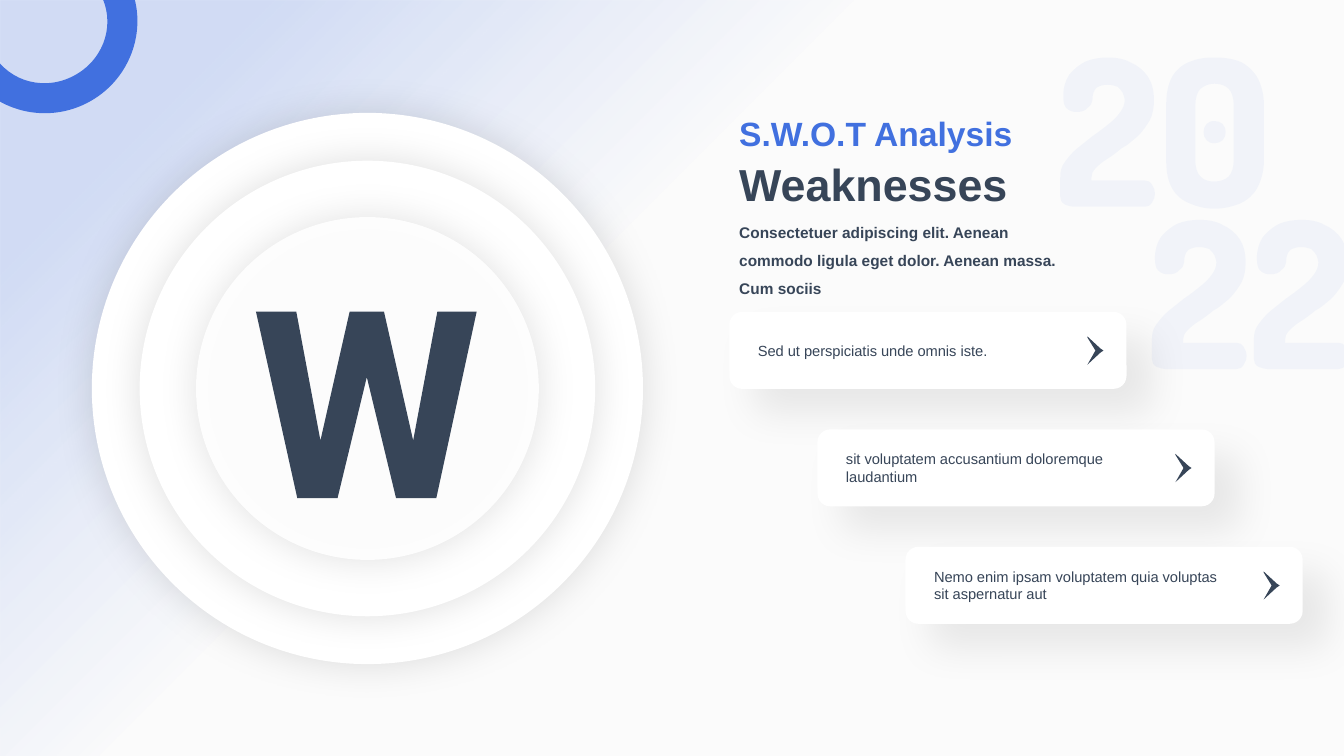
from lxml.etree import SubElement
from pptx import Presentation
from pptx.dml.color import RGBColor
from pptx.enum.shapes import MSO_SHAPE as SHAPE
from pptx.enum.text import MSO_ANCHOR as ANCHOR, MSO_AUTO_SIZE as AUTO
from pptx.oxml.ns import qn
from pptx.util import Cm, Pt

# Content: all lengths in cm
COLORS = {"page": "FBFBFB", "blue": "4170DF", "dark": "374558",
          "white": "FFFFFF", "shadow": "000000"}
W, H = 33.87, 19.05
LEFT = 18.38
HEADINGS = [  # text, box, anchor, line spacing, font, color
    ("Consectetuer adipiscing elit. Aenean commodo ligula eget dolor. "
     "Aenean massa. Cum sociis", (LEFT, 5.27, 9.04, 1.6), ANCHOR.TOP, 1.5,
     {"size": Pt(11), "bold": True}, "dark"),
    ("S.W.O.T Analysis", (LEFT, 2.31, 9.04, 1.68), ANCHOR.BOTTOM, 1.5,
     {"size": Pt(24), "bold": True}, "blue"),
    ("Weaknesses", (LEFT, 3.83, 9.19, 1.63), ANCHOR.TOP, 1,
     {"size": Pt(32), "bold": True}, "dark"),
]
CARDS = [  # text, text width, text height
    ("Sed ut perspiciatis unde omnis iste.", 7.85, 0.74),
    ("sit voluptatem accusantium doloremque laudantium", 8.33, 1.19),
    ("Nemo enim ipsam voluptatem quia voluptas sit aspernatur aut", 8.1, 1.19),
]
CARD_TOP, CARD_W, CARD_H = 7.86, 10.01, 1.94
STEP_X, STEP_Y = 2.22, 2.96
RING_X, RING_Y = 9.26, 9.79
RINGS = [(13.89, 100), (11.48, 100), (8.64, 91)]  # diameter, opacity
RING_SHADOW = (13, 28, 0, 57)  # opacity, blur, distance, angle
CARD_SHADOW = (7, 28, 25, 45)

# Outlines in units of 0.0254 cm: pairs are lines, sextuples are curves
LETTER_W = [(0, 0), (40, 0), (64, 128), (93, 0), (106, 0), (114, 0), (127, 0),
            (156, 128), (180, 0), (219, 0), (179, 185), (162, 185), (153, 185),
            (139, 185), (110, 65), (81, 185), (66, 185), (58, 185), (41, 185)]
CHEVRON = [(12, 3), (0, 16), (1, 16), (14, 8), (28, 16), (16, 3), (14, 0)]
ARC = [(91, 59), (57, 59, 30, 33, 30, 0), (0, 0), (0, 49, 41, 89, 91, 89),
       (141, 89, 182, 49, 182, 0), (152, 0), (152, 33, 125, 59, 91, 59)]
TWO = [
    (47, 0), (55, 0, 63, 1, 70, 5), (77, 8, 83, 13, 87, 19),
    (91, 25, 93, 33, 93, 42), (93, 49, 92, 56, 89, 62), (86, 67, 82, 73, 77, 78),
    (72, 82, 67, 87, 61, 90), (56, 94, 51, 98, 46, 101),
    (41, 104, 38, 107, 35, 110), (32, 113, 31, 116, 31, 119), (31, 122), (84, 122),
    (87, 122, 89, 123, 91, 126), (93, 129, 94, 132, 94, 135),
    (94, 138, 93, 141, 91, 144), (89, 147, 87, 148, 84, 148), (13, 148),
    (11, 148, 8, 147, 5, 146), (1, 144, 0, 141, 0, 138), (0, 119),
    (0, 113, 1, 108, 5, 103), (8, 99, 12, 94, 17, 90), (22, 86, 27, 82, 32, 78),
    (38, 74, 43, 70, 48, 66), (53, 62, 56, 59, 59, 55), (62, 51, 64, 47, 64, 42),
    (64, 40, 63, 38, 62, 35), (61, 33, 59, 31, 57, 29), (54, 28, 51, 27, 47, 27),
    (43, 27, 39, 28, 36, 30), (33, 33, 32, 37, 32, 42), (32, 45, 30, 48, 27, 50),
    (25, 53, 21, 54, 16, 54), (12, 54, 9, 53, 6, 50), (4, 48, 3, 44, 3, 38),
    (3, 30, 5, 23, 9, 17), (13, 12, 19, 7, 25, 4), (32, 1, 40, 0, 47, 0),
]
ZERO_OUTER = [
    (48, 0), (57, 0, 65, 1, 73, 4), (80, 7, 86, 13, 90, 19),
    (94, 26, 97, 36, 97, 47), (97, 102), (97, 113, 94, 123, 90, 130),
    (86, 137, 80, 142, 73, 145), (65, 148, 57, 150, 48, 150),
    (39, 150, 31, 148, 24, 145), (16, 142, 10, 137, 6, 130),
    (2, 123, 0, 114, 0, 102), (0, 47), (0, 36, 2, 26, 6, 19),
    (10, 12, 16, 7, 24, 4), (31, 1, 39, 0, 48, 0),
]
ZERO_INNER = [
    (48, 26), (42, 26, 38, 28, 34, 31), (31, 34, 29, 40, 29, 47), (29, 102),
    (29, 110, 31, 115, 34, 118), (38, 122, 42, 123, 48, 123),
    (54, 123, 59, 121, 62, 118), (65, 115, 67, 109, 67, 102), (67, 47),
    (67, 40, 65, 34, 62, 31), (59, 28, 54, 26, 48, 26),
]
DOT = [(11, 0), (14, 0, 17, 1, 19, 3), (21, 5, 22, 8, 22, 11),
       (22, 14, 21, 17, 19, 19), (17, 21, 14, 22, 11, 22),
       (7, 22, 5, 21, 3, 19), (1, 17, 0, 14, 0, 11),
       (0, 8, 1, 5, 3, 3), (5, 1, 7, 0, 11, 0)]
DIGITS = [(26.72, 1.45, [TWO]), (29.39, 1.45, [ZERO_OUTER, ZERO_INNER]),
          (30.33, 3.05, [DOT]), (29.03, 5.54, [TWO]), (31.6, 5.54, [TWO])]

prs = Presentation()
prs.slide_width, prs.slide_height = Cm(W), Cm(H)
s = prs.slides.add_slide(prs.slide_layouts[6])


def rgb(name):
    return RGBColor.from_string(COLORS[name])


def set_alpha(color, percent):
    SubElement(color, qn("a:alpha"), val=str(percent * 1000))


def paint(sp, color, opacity=100, shadow=None):
    sp.fill.solid()
    sp.fill.fore_color.rgb = rgb(color)
    sp.line.fill.background()
    sp.shadow.inherit = False
    pr = sp._element.spPr
    if opacity < 100:
        set_alpha(pr.find(".//" + qn("a:srgbClr")), opacity)
    if shadow:
        alpha, blur, dist, angle = shadow
        fx = SubElement(pr.find(qn("a:effectLst")), qn("a:outerShdw"),
                        blurRad=str(Pt(blur)), dist=str(Pt(dist)),
                        dir=str(angle * 60000), algn="ctr", rotWithShape="0")
        set_alpha(SubElement(fx, qn("a:srgbClr"), val=COLORS["shadow"]), alpha)


def add_shape(kind, x, y, w, h, *look):
    sp = s.shapes.add_shape(kind, Cm(x), Cm(y), Cm(w), Cm(h))
    paint(sp, *look)
    return sp


def add_outline(shapes, x, y, contours, color, opacity=100, rotation=0):
    builder = shapes.build_freeform(*contours[0][0], scale=Cm(0.0254))
    for i, contour in enumerate(contours):
        if i:
            builder.move_to(*contour[0])
        builder.add_line_segments([seg[-2:] for seg in contour[1:]], close=True)
    sp = builder.convert_to_shape(Cm(x), Cm(y))
    # Bend the segments that have control points
    segments = [seg for contour in contours for seg in contour[1:]]
    for line, seg in zip(list(sp._element.iter(qn("a:lnTo"))), segments):
        if len(seg) == 6:
            line.tag = qn("a:cubicBezTo")
            line.remove(line[0])
            for px, py in zip(seg[::2], seg[1::2]):
                SubElement(line, qn("a:pt"), x=str(px), y=str(py))
    paint(sp, color, opacity)
    sp.rotation = rotation


def add_text(text, box, anchor, spacing, font, color):
    tf = s.shapes.add_textbox(*map(Cm, box)).text_frame
    tf.word_wrap, tf.auto_size = True, AUTO.SHAPE_TO_FIT_TEXT
    tf.vertical_anchor = anchor
    p = tf.paragraphs[0]
    p.line_spacing = spacing
    r = p.add_run()
    r.text = text
    for name, value in {"name": "Arial", **font}.items():
        setattr(r.font, name, value)
    r.font.color.rgb = rgb(color)


# Background with diagonal tint
s.background.fill.solid()
s.background.fill.fore_color.rgb = rgb("page")
tint = add_shape(SHAPE.RECTANGLE, 0, 0, W, H, "blue")
tint.fill.gradient()
tint.fill.gradient_angle = 315
for stop, position in zip(tint.fill.gradient_stops, (0.13, 0.41)):
    stop.position = position
    stop.color.rgb = rgb("blue")
for color, opacity in zip(tint._element.spPr.iter(qn("a:srgbClr")), (22, 0)):
    set_alpha(color, opacity)

# Rings with the letter, and the corner arc
for size, opacity in RINGS:
    add_shape(SHAPE.OVAL, RING_X - size / 2, RING_Y - size / 2, size, size,
              "white", opacity, RING_SHADOW)
add_outline(s.shapes, 6.45, 7.85, [LETTER_W], "dark")
add_outline(s.shapes, -0.58, 0.43, [ARC], "blue", rotation=330)

# Pale year digits
year = s.shapes.add_group_shape()
for x, y, contours in DIGITS:
    add_outline(year.shapes, x, y, contours, "blue", 5)

# Headings
for heading in HEADINGS:
    add_text(*heading)

# Staggered cards
corners = [(LEFT + i * STEP_X, CARD_TOP + i * STEP_Y) for i in range(len(CARDS))]
for x, y in corners:
    add_shape(SHAPE.ROUNDED_RECTANGLE, x, y, CARD_W, CARD_H, "white", 100, CARD_SHADOW)
for (x, y), (text, w, h) in zip(corners, CARDS):
    add_text(text, (x + 0.47, y + (CARD_H - h) / 2, w, h), ANCHOR.MIDDLE, 1,
             {"size": Pt(10.5)}, "dark")
for x, y in corners:
    add_outline(s.shapes, x + 8.87, y + 0.77, [CHEVRON], "dark", rotation=90)

prs.save("out.pptx")
